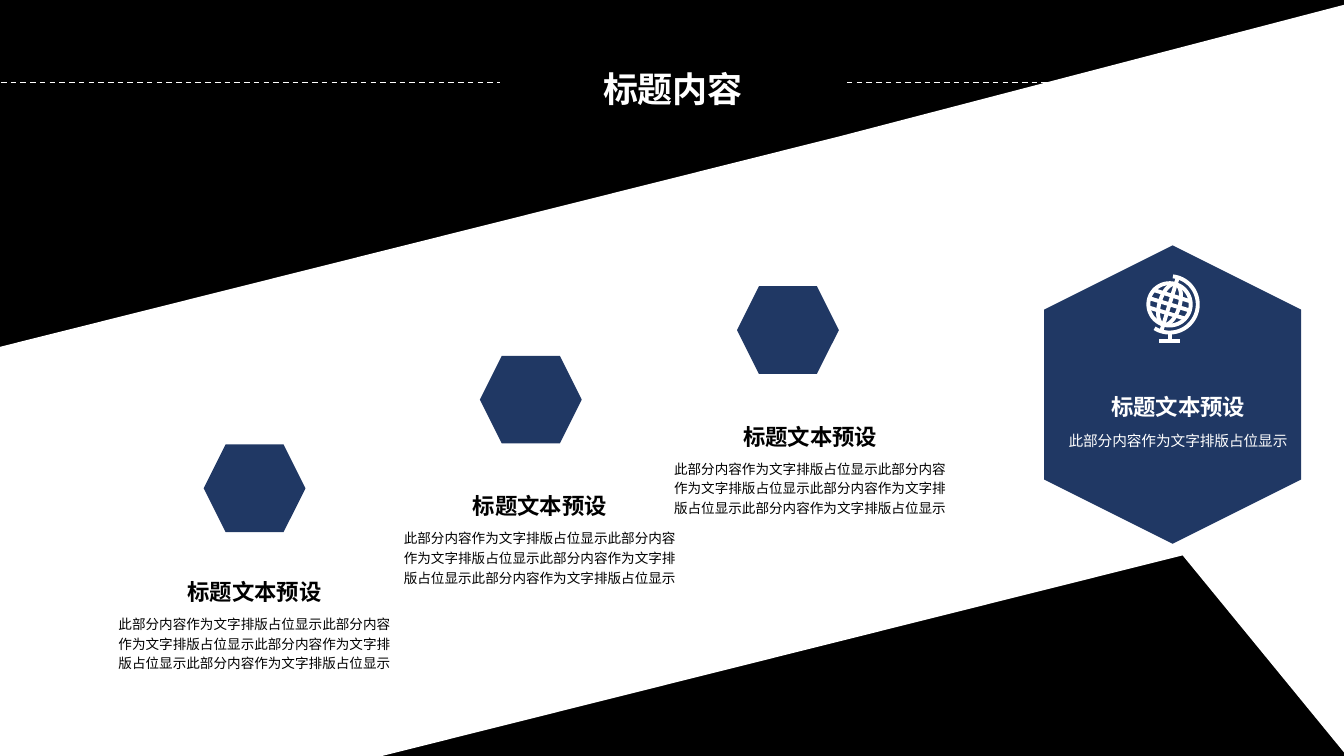
from math import cos, radians, sin

from lxml import etree
from pptx import Presentation
from pptx.dml.color import RGBColor
from pptx.enum.dml import MSO_LINE
from pptx.enum.shapes import MSO_CONNECTOR, MSO_SHAPE
from pptx.enum.text import MSO_ANCHOR, PP_ALIGN
from pptx.oxml.ns import qn
from pptx.util import Inches, Pt

BLACK = RGBColor(0x00, 0x00, 0x00)
WHITE = RGBColor(0xFF, 0xFF, 0xFF)
NAVY = RGBColor(0x20, 0x38, 0x64)
FONT = "Noto Sans CJK SC"
HEXAGON = MSO_SHAPE.HEXAGON
STRAIGHT = MSO_CONNECTOR.STRAIGHT
DASH = MSO_LINE.DASH
CENTER = PP_ALIGN.CENTER
TOP, BOTTOM = MSO_ANCHOR.TOP, MSO_ANCHOR.BOTTOM

HEAD = "标题文本预设"
PHRASE = "此部分内容作为文字排版占位显示"
BAND = [(13.4, 0.03), (13.4, 4.15), (13.62, 5.04), (13.4, 5.09), (13.4, 7.55),
        (11.73, 5.51), (-0.2, 8.5), (-1.39, 3.79), (8.34, 1.35)]
STEPS = [((2.02, 4.41), (1.13, 5.58)),
         ((4.76, 3.53), (3.96, 4.73)),
         ((7.31, 2.84), (6.64, 4.04))]


def add_text(shapes, box, text, size, color, bold=False, anchor=TOP):
    """Add a centred text box and return its frame."""
    frame = shapes.add_textbox(*map(Inches, box)).text_frame
    frame.word_wrap = True
    frame.vertical_anchor = anchor
    frame.text = text
    line = frame.paragraphs[0]
    line.alignment = CENTER
    run = line.runs[0]
    run.font.size = Pt(size)
    run.font.bold = bold
    run.font.color.rgb = color
    run.font.name = FONT
    etree.SubElement(run.font._element, qn("a:ea"), typeface=FONT)
    return frame


def add_label(slide, left, top, body, size, color):
    """Add a grouped heading and body."""
    shapes = slide.shapes.add_group_shape().shapes
    head = add_text(shapes, (left, top, 2.79, 0.42), HEAD, 16, color, True, BOTTOM)
    note = add_text(shapes, (left, top + 0.42, 2.79, 0.76), body, size, color)
    for frame in (head, note):
        frame.margin_left = frame.margin_right = 0
        frame.margin_top = frame.margin_bottom = 0
    head.word_wrap = False
    note.margin_top = Inches(0.08)
    note.paragraphs[0].line_spacing = 1.2


def add_hex(slide, left, top, width, height, turn=0):
    """Add a navy hexagon."""
    shape = slide.shapes.add_shape(HEXAGON, *map(Inches, (left, top, width, height)))
    shape.rotation = turn
    shape.shadow.inherit = False
    shape.fill.solid()
    shape.fill.fore_color.rgb = NAVY
    shape.line.fill.background()


def add_paths(slide, paths, close):
    """Add one freeform made of several paths."""
    paths = [[(Inches(x), Inches(y)) for x, y in path] for path in paths]
    pen = slide.shapes.build_freeform(*paths[0][0])
    for path in paths:
        pen.move_to(*path[0])
        pen.add_line_segments(path[1:], close=close)
    shape = pen.convert_to_shape()
    shape.shadow.inherit = False
    return shape


def add_band(slide):
    """Add the white slanted band."""
    band = add_paths(slide, [BAND], True)
    band.fill.solid()
    band.fill.fore_color.rgb = WHITE
    band.line.fill.background()


def add_globe(slide, mid_x, mid_y):
    """Add a tilted desk globe drawn in white strokes."""
    tilt = radians(17)

    def place(x, y):
        return (mid_x + x * cos(tilt) - y * sin(tilt),
                mid_y + x * sin(tilt) + y * cos(tilt))

    def arc(wide, high, start, stop):
        angles = [radians(deg) for deg in range(start, stop + 1, 5)]
        return [place(wide * cos(a), high * sin(a)) for a in angles]

    paths = [arc(0.21, 0.21, 0, 360), arc(0.1, 0.21, 0, 360), arc(0.28, 0.28, -100, 105)]
    paths.append([place(0, -0.28), place(0, 0.28)])
    for half, y in ((0.19, -0.09), (0.21, 0), (0.19, 0.09)):
        paths.append([place(-half, y), place(half, y)])
    paths.append([(mid_x, mid_y + 0.28), (mid_x, mid_y + 0.36)])
    paths.append([(mid_x - 0.1, mid_y + 0.36), (mid_x + 0.1, mid_y + 0.36)])
    globe = add_paths(slide, paths, False)
    globe.fill.background()
    globe.line.color.rgb = WHITE
    globe.line.width = Pt(2.8)


def add_rule(slide, left):
    """Add a dashed white rule beside the title."""
    ends = (left, 0.82, left + 4.95, 0.82)
    rule = slide.shapes.add_connector(STRAIGHT, *map(Inches, ends))
    rule.line.color.rgb = WHITE
    rule.line.width = Pt(1)
    rule.line.dash_style = DASH
    etree.SubElement(rule._element.spPr, qn("a:effectLst"))


def main():
    """Build and save the slide."""
    deck = Presentation()
    deck.slide_width, deck.slide_height = Inches(13.33), Inches(7.5)
    slide = deck.slides.add_slide(deck.slide_layouts[6])
    slide.background.fill.solid()
    slide.background.fill.fore_color.rgb = BLACK
    add_band(slide)
    for spot, label in STEPS:
        add_hex(slide, *spot, 1.01, 0.87)
        add_label(slide, *label, PHRASE * 4, 9.7, BLACK)
    add_hex(slide, 10.15, 2.64, 2.96, 2.55, 90)
    add_globe(slide, 11.6, 3.02)
    add_label(slide, 10.29, 3.75, PHRASE, 10.5, WHITE)
    add_text(slide.shapes, (5.81, 0.62, 1.73, 0.52), "标题内容", 25, WHITE, True)
    for left in (0.01, 8.4):
        add_rule(slide, left)
    deck.save("out.pptx")


if __name__ == "__main__":
    main()
